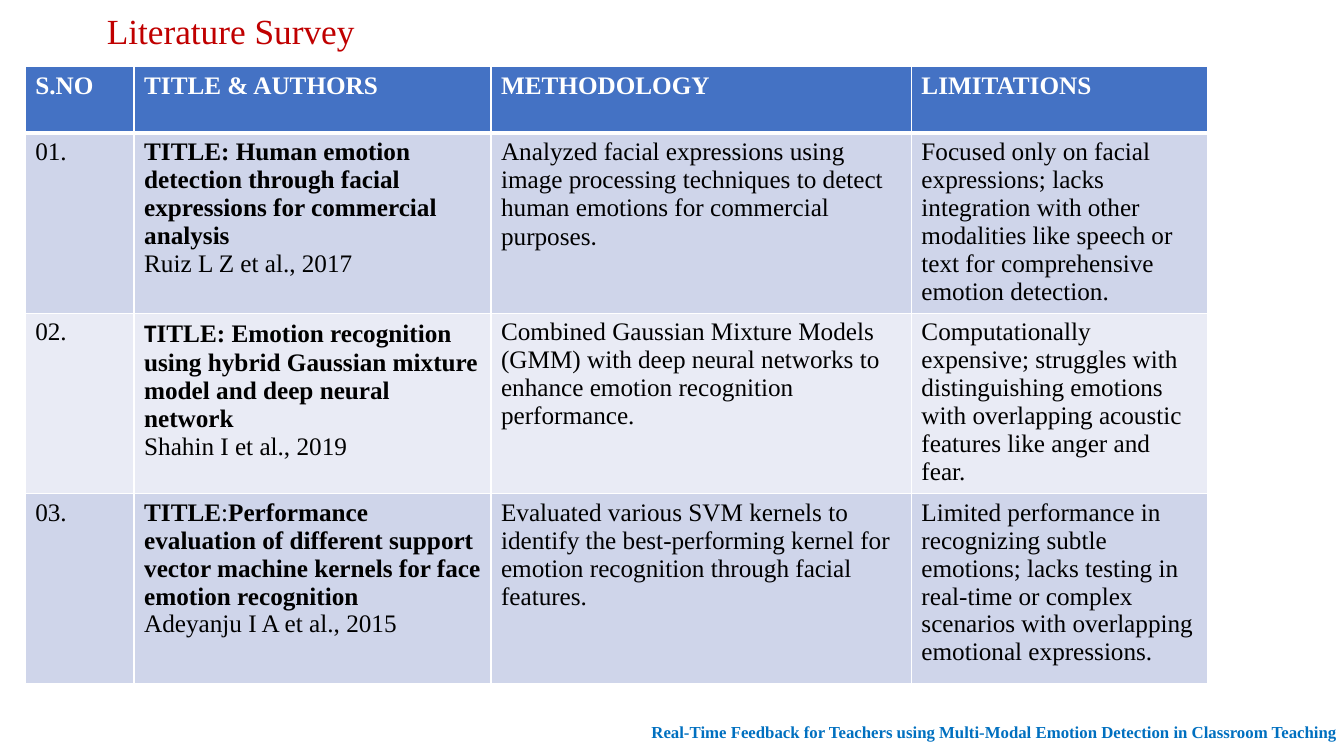
import pptx
import pptx.dml.color
import pptx.enum.text
import pptx.oxml
import pptx.oxml.ns
import pptx.util

SLIDE_W, SLIDE_H = 13.33, 7.5
SERIF, SANS = "Times New Roman", "Calibri"
WHITE, BLACK, RED, FOOTER_BLUE = "FFFFFF", "000000", "C00000", "0070C0"
HEADER_FILL, BAND_FILLS = "4472C4", ("CFD5EA", "E9EBF5")
COLUMN_WIDTHS = (1.08, 3.54, 4.17, 2.94)
ROW_HEIGHTS = (0.66, 1.79, 1.79, 1.88)
ALIGN, ANCHOR = pptx.enum.text.PP_ALIGN, pptx.enum.text.MSO_ANCHOR

HEADINGS = ("S.NO", "TITLE & AUTHORS", "METHODOLOGY", "LIMITATIONS")
BOLD, BREAK = {"bold": True}, "\n"

# Each survey entry: title parts, authors, methodology parts, limitations
SURVEY = (
    ([("TITLE: Human emotion detection through facial expressions for commercial analysis", BOLD)],
     "Ruiz L Z et al., 2017",
     ["Analyzed facial expressions using image processing techniques to detect "
      "human emotions for commercial purposes", (".", {"font": SANS})],
     "Focused only on facial expressions; lacks integration with other modalities "
     "like speech or text for comprehensive emotion detection."),
    ([("T", {"bold": True, "font": SANS}),
      ("ITLE: Emotion recognition using hybrid Gaussian mixture model and deep neural network", BOLD)],
     "Shahin I et al., 2019",
     ["Combined Gaussian Mixture Models (GMM) with deep neural networks to "
      "enhance emotion recognition performance."],
     "Computationally expensive; struggles with distinguishing emotions with "
     "overlapping acoustic features like anger and fear."),
    ([("TITLE", BOLD), ":",
      ("Performance evaluation of different support vector machine kernels for face "
       "emotion recognition", BOLD)],
     "Adeyanju I A et al., 2015",
     ["Evaluated various SVM kernels to identify the best-performing kernel for "
      "emotion recognition through facial features."],
     "Limited performance in recognizing subtle emotions; lacks testing in real-time "
     "or complex scenarios with overlapping emotional expressions."),
)


def rgb(hex_code):
    return pptx.dml.color.RGBColor.from_string(hex_code)


def share(x, y, width, height):
    """Turn shares of the slide's size into lengths."""
    return [pptx.util.Inches(part * full) for part, full in
            ((x, SLIDE_W), (y, SLIDE_H), (width, SLIDE_W), (height, SLIDE_H))]


def write(frame, parts, size=18, color=BLACK, bold=False, font=SERIF,
          align=ALIGN.LEFT, anchor=ANCHOR.TOP, spacing=None):
    """Fill one paragraph with plain strings, (string, format) pairs and breaks."""
    frame.word_wrap = True
    frame.vertical_anchor = anchor
    paragraph = frame.paragraphs[0]
    paragraph.alignment = align
    paragraph.line_spacing = spacing
    for part in [parts] if isinstance(parts, str) else parts:
        if part == BREAK:
            paragraph.add_line_break()
            continue
        text, changes = (part, {}) if isinstance(part, str) else part
        run = paragraph.add_run()
        run.text = text
        run.font.size = pptx.util.Pt(size)
        run.font.color.rgb = rgb(color)
        run.font.bold = changes.get("bold", bold)
        run.font.name = changes.get("font", font)


def add_borders(cell, bottom):
    properties = cell._tc.get_or_add_tcPr()
    for index, (side, points) in enumerate((("L", 1), ("R", 1), ("T", 1), ("B", bottom))):
        line = pptx.oxml.parse_xml(
            f'<a:ln{side} {pptx.oxml.ns.nsdecls("a")} w="{pptx.util.Pt(points)}">'
            f'<a:solidFill><a:srgbClr val="{WHITE}"/></a:solidFill></a:ln{side}>')
        properties.insert(index, line)


def add_title(slide, text):
    title = slide.shapes.title
    title.left, title.top, title.width, title.height = share(0.072, 0.017, 0.88, 0.053)
    title.text_frame.auto_size = pptx.enum.text.MSO_AUTO_SIZE.NONE
    write(title.text_frame, text, size=25.2, color=RED, anchor=ANCHOR.MIDDLE, spacing=0.9)


def add_survey_table(slide):
    rows = [HEADINGS]
    for number, (title, authors, methodology, limitations) in enumerate(SURVEY, 1):
        rows.append((f"{number:02}.", [*title, BREAK, authors], methodology, limitations))

    table = slide.shapes.add_table(
        len(rows), len(HEADINGS), pptx.util.Inches(0.25), pptx.util.Inches(0.66),
        pptx.util.Inches(sum(COLUMN_WIDTHS)), pptx.util.Inches(sum(ROW_HEIGHTS))).table
    for column, width in zip(table.columns, COLUMN_WIDTHS):
        column.width = pptx.util.Inches(width)
    for row_index, (contents, height) in enumerate(zip(rows, ROW_HEIGHTS)):
        table.rows[row_index].height = pptx.util.Inches(height)
        is_header = row_index == 0
        for column_index, content in enumerate(contents):
            cell = table.cell(row_index, column_index)
            cell.fill.solid()
            cell.fill.fore_color.rgb = rgb(
                HEADER_FILL if is_header else BAND_FILLS[(row_index - 1) % 2])
            add_borders(cell, bottom=3 if is_header else 1)
            write(cell.text_frame, content, bold=is_header,
                  color=WHITE if is_header else BLACK)


def add_footer(slide, text):
    footer = slide.shapes.add_textbox(*share(0.457, 0.936, 0.566, 0.064))
    write(footer.text_frame, text, size=12, color=FOOTER_BLUE, bold=True,
          align=ALIGN.CENTER, anchor=ANCHOR.MIDDLE)


def main():
    deck = pptx.Presentation()
    deck.slide_width = pptx.util.Inches(SLIDE_W)
    deck.slide_height = pptx.util.Inches(SLIDE_H)
    slide = deck.slides.add_slide(deck.slide_layouts.get_by_name("Title Only"))

    add_title(slide, "Literature Survey")
    add_survey_table(slide)
    add_footer(slide, "Real-Time Feedback for Teachers using Multi-Modal Emotion "
                      "Detection in Classroom Teaching")
    deck.save("out.pptx")


if __name__ == "__main__":
    main()
